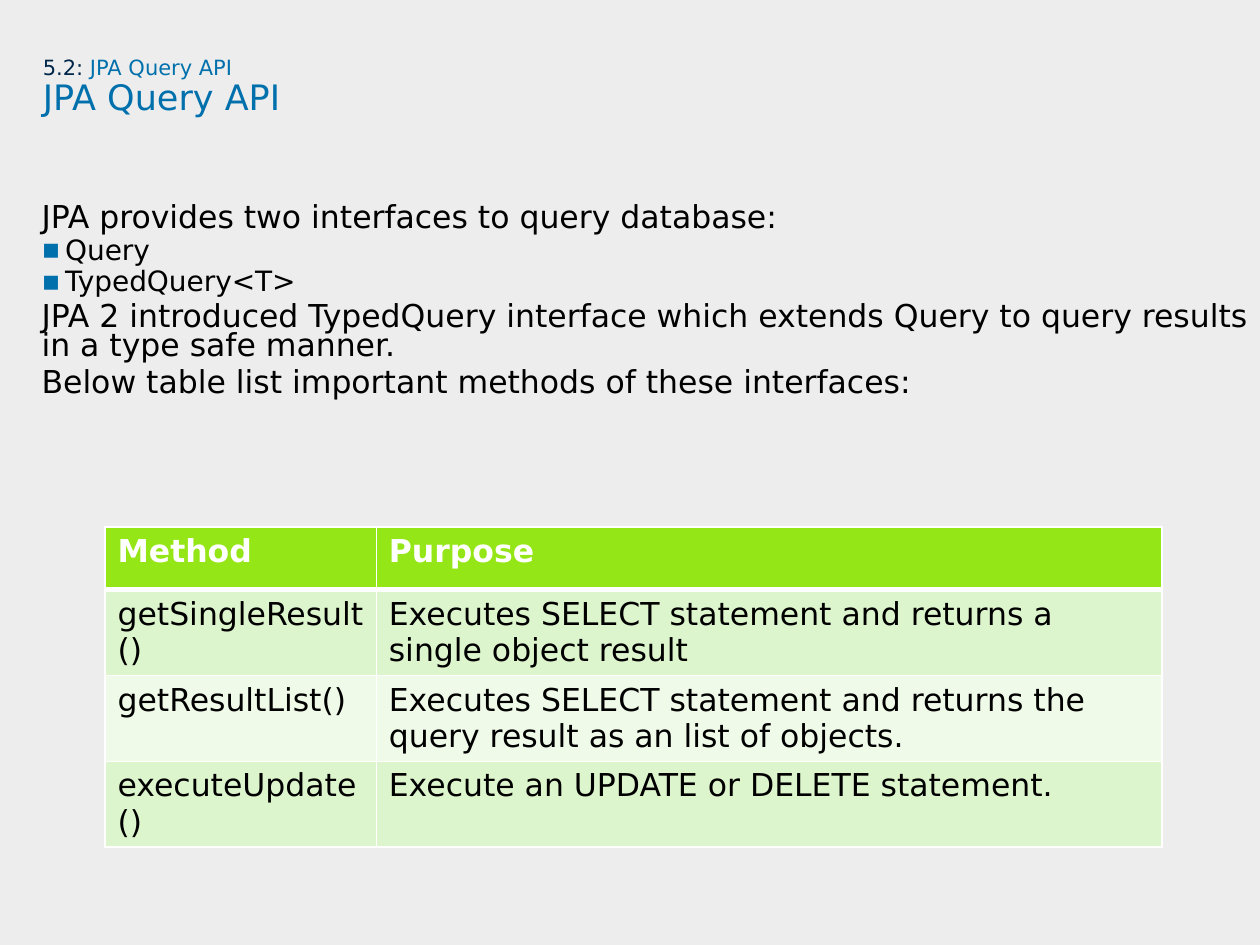
from lxml.etree import SubElement
from pptx import Presentation
from pptx.dml.color import RGBColor
from pptx.enum.text import MSO_ANCHOR, MSO_AUTO_SIZE, PP_ALIGN
from pptx.oxml import parse_xml
from pptx.oxml.ns import nsdecls, qn
from pptx.util import Pt

BLUE = "0070AD"


def color(value):
    return RGBColor.from_string(value)


def add_span(para, text, size, fill, bold=False):
    span = para.add_run()
    span.text = text
    span.font.name = "DejaVu Sans"
    span.font.size = Pt(size)
    span.font.bold = bold
    span.font.color.rgb = color(fill)


deck = Presentation()
deck.slide_width, deck.slide_height = Pt(720), Pt(540)
page = deck.slides.add_slide(deck.slide_layouts[1])
page.background.fill.solid()
page.background.fill.fore_color.rgb = color("EDEDED")

title, body = page.placeholders
frames = [(title, 24.5, 33, 654.5, 67.5), (body, 23.75, 117.5, 696.25, 365.75)]
for box, left, top, width, height in frames:
    box.left, box.top, box.width, box.height = Pt(left), Pt(top), Pt(width), Pt(height)
    frame = box.text_frame
    frame.margin_left = frame.margin_top = frame.margin_right = frame.margin_bottom = 0
    frame.vertical_anchor = MSO_ANCHOR.TOP
    frame.word_wrap = True
    frame.auto_size = MSO_AUTO_SIZE.NONE

# Title: section line above the heading
para = title.text_frame.paragraphs[0]
para.alignment = PP_ALIGN.LEFT
para.line_spacing = 0.9
add_span(para, "5.2: ", 12, "00264A")
add_span(para, "JPA Query API ", 12, BLUE)
para.add_line_break()
line_break = para._p.findall(qn("a:br"))[-1]
SubElement(line_break, qn("a:rPr"), sz="1200")
add_span(para, "JPA Query API", 20, BLUE)

# Body: plain paragraphs at level 0, bullets at level 1
lines = [
    (0, "JPA provides two interfaces to query database:"),
    (1, "Query"),
    (1, "TypedQuery<T>"),
    (0, "JPA 2 introduced TypedQuery interface which extends Query to query results in a type safe manner."),
    (0, "Below table list important methods of these interfaces:"),
]
for index, (level, text) in enumerate(lines):
    para = body.text_frame.add_paragraph() if index else body.text_frame.paragraphs[0]
    para.level = level
    para.alignment = PP_ALIGN.LEFT
    para.line_spacing = Pt(13.5 if level else 16.5)
    para.space_before = Pt(0)
    para.space_after = Pt(4.5)
    indent = Pt(13.5) if level else 0
    properties = para._p.get_or_add_pPr()
    properties.set("marL", str(indent))
    properties.set("indent", str(-indent))
    if level:
        bullet_color = SubElement(properties, qn("a:buClr"))
        SubElement(bullet_color, qn("a:srgbClr"), val=BLUE)
        SubElement(properties, qn("a:buFont"), typeface="DejaVu Sans")
        SubElement(properties, qn("a:buChar"), char="▪")
    else:
        SubElement(properties, qn("a:buNone"))
    add_span(para, text, 16 if level else 18, "000000")

# Table of methods
methods = [
    ("Method", "Purpose"),
    ("getSingleResult()", "Executes SELECT statement and returns a single object result"),
    ("getResultList()", "Executes SELECT statement and returns the query result as an list of objects."),
    ("executeUpdate()", "Execute an UPDATE or DELETE statement."),
]
row_fills = ["95E616", "DDF5CC", "EFFAE8", "DDF5CC"]
table = page.shapes.add_table(4, 2, Pt(60), Pt(301), Pt(604), Pt(172.8)).table
table.columns[0].width, table.columns[1].width = Pt(155), Pt(449)
for row, (texts, row_fill) in enumerate(zip(methods, row_fills)):
    table.rows[row].height = Pt(36)
    header = row == 0
    for column, text in enumerate(texts):
        cell = table.cell(row, column)
        cell.fill.solid()
        cell.fill.fore_color.rgb = color(row_fill)
        add_span(cell.text_frame.paragraphs[0], text, 18, "FFFFFF" if header else "000000", header)
        widths = {"lnL": 1, "lnR": 1, "lnT": 3 if row == 1 else 1, "lnB": 3 if header else 1}
        for position, (side, width) in enumerate(widths.items()):
            border = parse_xml(
                f'<a:{side} {nsdecls("a")} w="{Pt(width)}"><a:solidFill>'
                f'<a:srgbClr val="FFFFFF"/></a:solidFill></a:{side}>')
            cell._tc.get_or_add_tcPr().insert(position, border)

deck.save("out.pptx")
